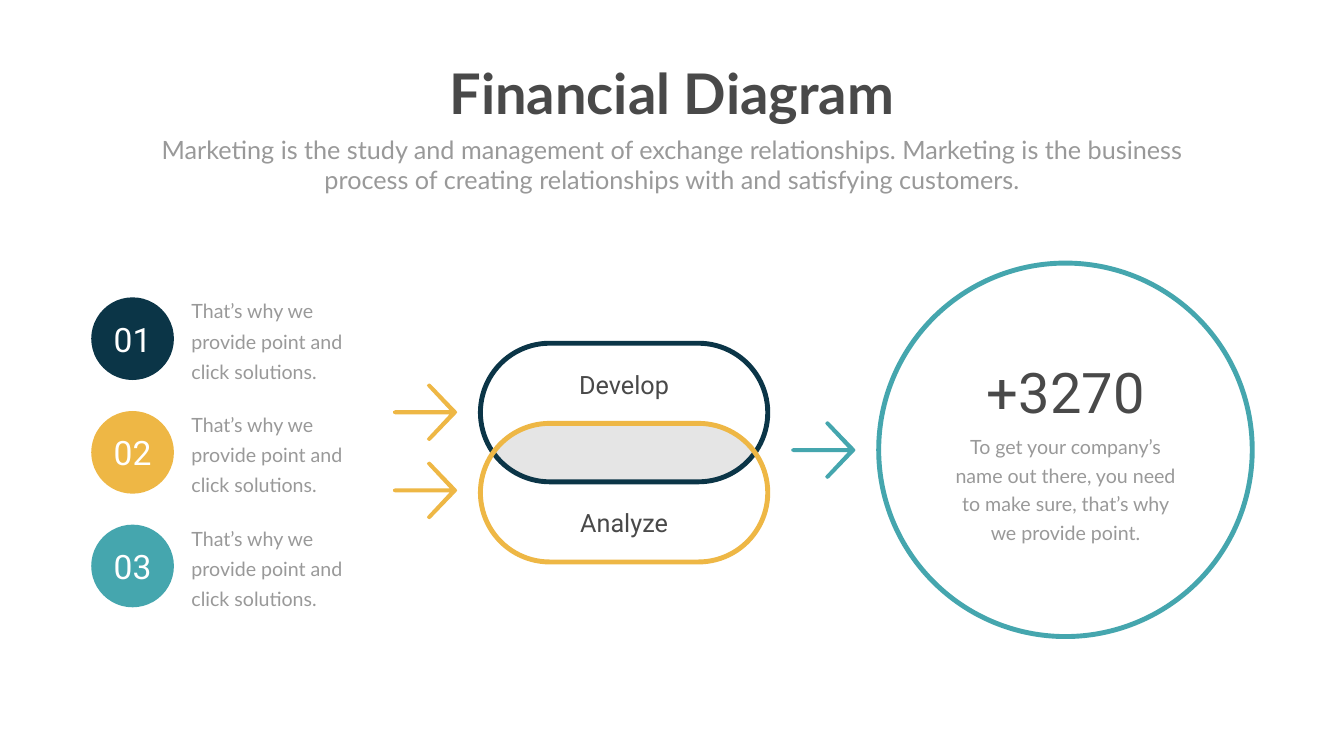
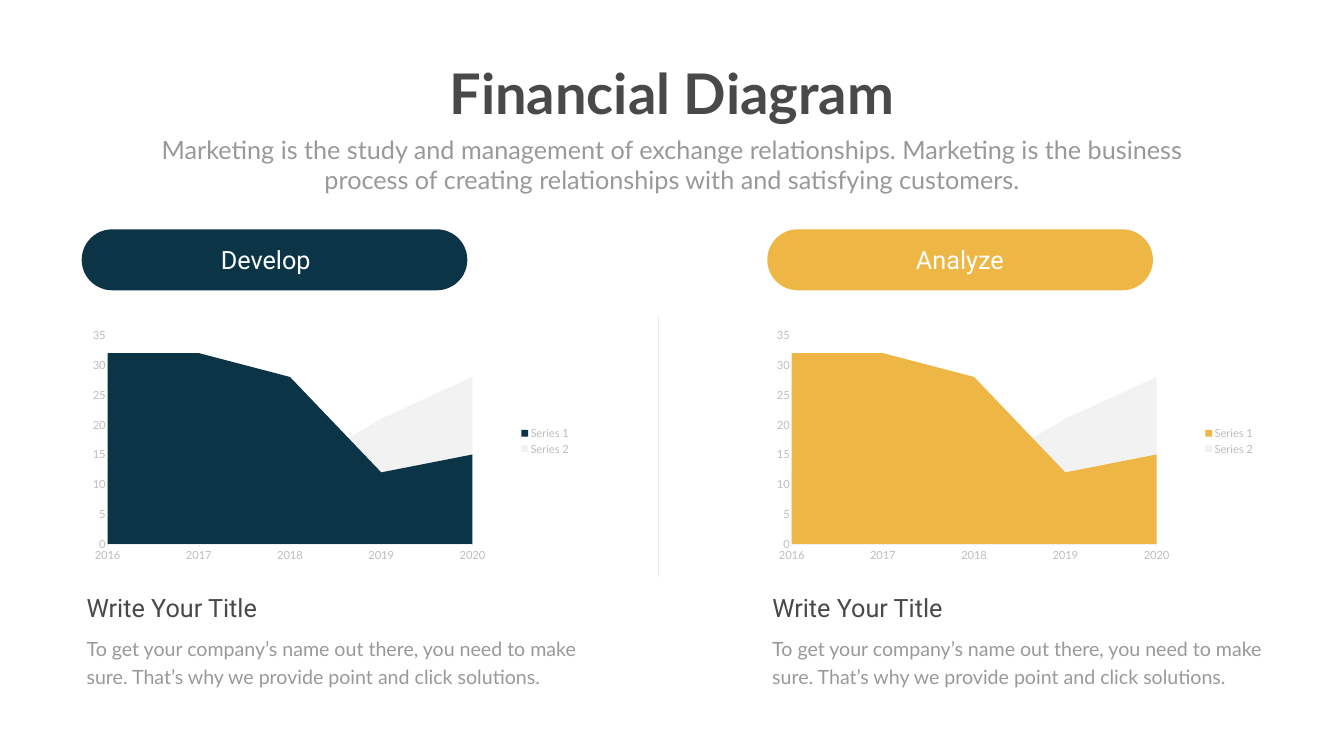
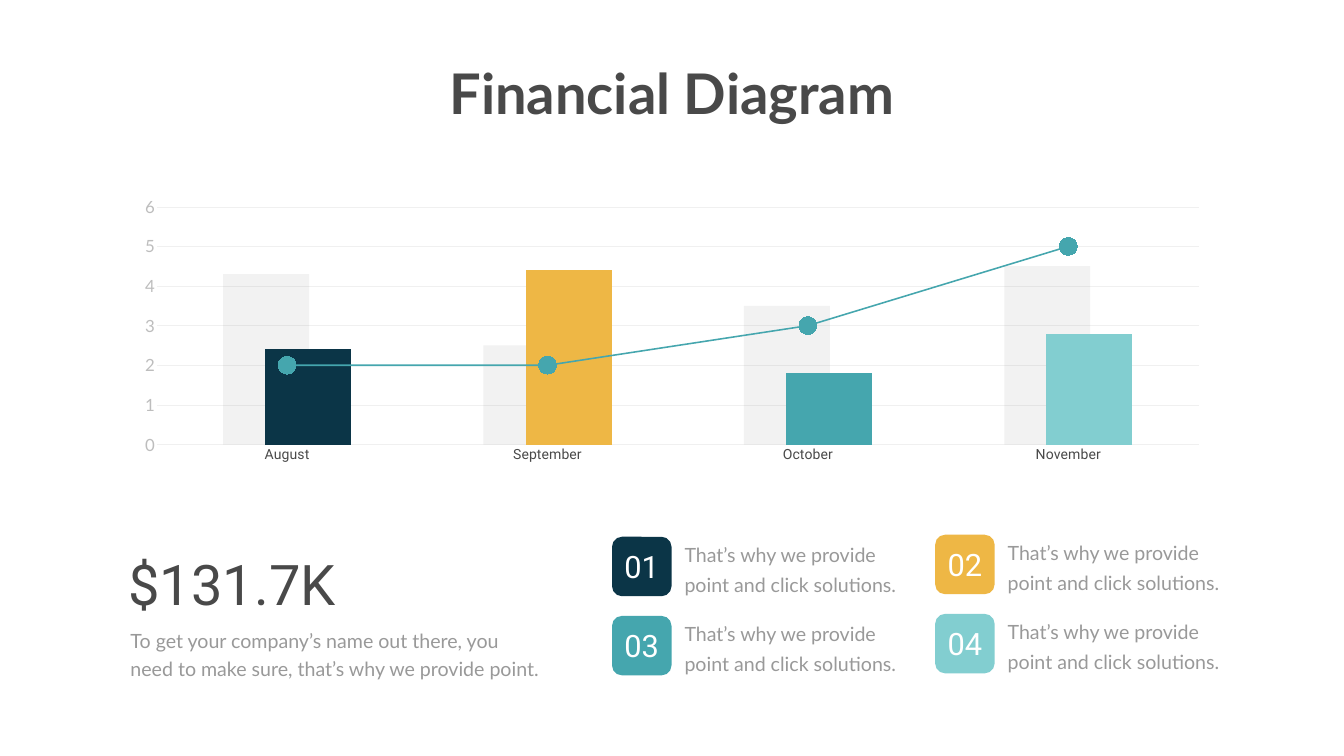
import copy
import math

import lxml.etree
import pptx
import pptx.chart.data
import pptx.dml.color
import pptx.enum.chart
import pptx.enum.shapes
import pptx.enum.text
import pptx.oxml
import pptx.oxml.ns
import pptx.util

COLOURS = {
    "navy": "0B3547", "amber": "EEB745", "teal": "45A6AE", "aqua": "82CED0",
    "ink": "494949", "body": "999999", "axis": "BDBDBD", "rule": "BFBFBF",
    "grid": "F0F0F0", "pale": "F2F2F2", "veil": "808080", "white": "FFFFFF",
}
# The slide is a grid of one-inch columns and rows.
COLUMNS, ROWS = 26.66, 15
CELL = pptx.util.Inches(1)

LATO, ROBOTO = "Lato", "Roboto"
LEFT, CENTRE = pptx.enum.text.PP_ALIGN.LEFT, pptx.enum.text.PP_ALIGN.CENTER
TOP, MIDDLE = pptx.enum.text.MSO_ANCHOR.TOP, pptx.enum.text.MSO_ANCHOR.MIDDLE
OVAL = pptx.enum.shapes.MSO_SHAPE.OVAL
ROUNDED = pptx.enum.shapes.MSO_SHAPE.ROUNDED_RECTANGLE
CHART = pptx.enum.chart.XL_CHART_TYPE
TICK = pptx.enum.chart.XL_TICK_MARK

SUBTITLE = ("Marketing is the study and management of exchange relationships. "
            "Marketing is the business process of creating relationships with "
            "and satisfying customers.")
SOLUTIONS = "That’s why we provide point and click solutions."
COMPANY = "To get your company’s name out there, you need to make sure"


def cells(*values):
    return [round(value * CELL) for value in values]


def rgb(name):
    return pptx.dml.color.RGBColor.from_string(COLOURS[name])


def paint(fill, colour):
    fill.solid()
    fill.fore_color.rgb = rgb(colour)


def stroke(line, colour, width):
    paint(line.fill, colour)
    line.width = pptx.util.Pt(width)


def fade(element, percent):
    """Give the first colour inside the element an opacity."""
    colour = element.xpath(".//a:srgbClr")[0]
    alpha = lxml.etree.SubElement(colour, pptx.oxml.ns.qn("a:alpha"))
    alpha.set("val", str(percent * 1000))


def style_font(font, size, colour, name=LATO, bold=False):
    font.size, font.name, font.bold = pptx.util.Pt(size), name, bold
    font.color.rgb = rgb(colour)


def write(frame, text, size=28, colour="body", font=LATO, bold=False,
          align=LEFT, leading=None, anchor=TOP):
    """Fill a text frame; leading is in points, single spacing if omitted."""
    frame.word_wrap = True
    frame.auto_size = pptx.enum.text.MSO_AUTO_SIZE.NONE
    frame.vertical_anchor = anchor
    para = frame.paragraphs[0]
    para.alignment = align
    para.space_before = pptx.util.Pt(0)
    para.line_spacing = pptx.util.Pt(leading) if leading else 1.0
    span = para.add_run()
    span.text = text
    style_font(span.font, size, colour, font, bold)


def add_text(page, place, text, **style):
    write(page.shapes.add_textbox(*cells(*place)).text_frame, text, **style)


def add_shape(page, kind, place, fill=None, outline=None, corner=None):
    shape = page.shapes.add_shape(kind, *cells(*place))
    shape.shadow.inherit = False
    if corner is not None:
        shape.adjustments[0] = corner
    if fill:
        paint(shape.fill, fill)
    else:
        shape.fill.background()
    if outline:
        stroke(shape.line, outline, 7)
    else:
        shape.line.fill.background()
    return shape


def add_badge(page, kind, place, colour, number, size):
    frame = add_shape(page, kind, place, fill=colour).text_frame
    frame.margin_left = frame.margin_right = 0
    write(frame, number, size=size, colour="white", font=ROBOTO,
          align=CENTRE, anchor=MIDDLE)


def add_outline(page, points, colour):
    """Draw a filled polygon from points in grid cells."""
    points = [cells(*point) for point in points]
    builder = page.shapes.build_freeform(*points[0])
    builder.add_line_segments(points[1:])
    shape = builder.convert_to_shape()
    shape.shadow.inherit = False
    paint(shape.fill, colour)
    shape.line.fill.background()
    return shape


def add_arrow(page, x, y, colour):
    """Draw an open arrow whose tail is at x and whose shaft is at y."""
    upper = [(0, -0.02), (0.04, -0.04), (1.12, -0.04), (0.69, -0.5),
             (0.67, -0.53), (0.69, -0.56), (0.72, -0.57), (0.75, -0.55),
             (1.25, -0.03), (1.27, 0)]
    lower = [(dx, -dy) for dx, dy in reversed(upper[:-1])]
    add_outline(page, [(x + dx, y + dy) for dx, dy in upper + lower], colour)


def add_overlap(page, x, y, width, height, shift):
    """Shade where a pill meets the same pill moved down by shift."""
    radius = height / 2
    middle = y + (height + shift) / 2
    start = math.asin(shift / 2 / radius)
    steps = 12
    angles = [start + (math.pi / 2 - start) * n / steps for n in range(steps + 1)]
    arc = [(radius * (1 - math.cos(a)), radius * math.sin(a) - shift / 2)
           for a in angles]
    top = [(x + dx, middle - dy) for dx, dy in arc]
    top += [(2 * x + width - px, py) for px, py in reversed(top)]
    bottom = [(px, 2 * middle - py) for px, py in reversed(top)]
    fade(add_outline(page, top + bottom[1:-1], "veil").element, 20)


def add_page(deck, subtitle=None):
    page = deck.slides.add_slide(deck.slide_layouts[0 if subtitle else 5])
    heads = [(page.shapes.title, (8.71, 1.12, 9.24, 1.45), "Financial Diagram",
              dict(size=80, colour="ink", bold=True))]
    if subtitle:
        heads.append((page.placeholders[1], (2.92, 2.61, 20.82, 1.31), subtitle,
                      dict(size=36)))
    for box, place, text, style in heads:
        box.left, box.top, box.width, box.height = cells(*place)
        write(box.text_frame, text, align=CENTRE, **style)
    return page


def add_chart(page, kind, place, categories, rows, size, plot_area):
    """Add a chart; plot_area is x, y, w, h as shares of the chart."""
    data = pptx.chart.data.CategoryChartData()
    data.categories = categories
    for number, values in enumerate(rows, 1):
        data.add_series(f"Series {number}", values)
    chart = page.shapes.add_chart(kind, *cells(*place), data).chart
    style_font(chart.font, size, "body")
    chart.has_title = chart.has_legend = False
    chart.plots[0].vary_by_categories = False

    area = chart.element.xpath(".//c:plotArea")[0]
    for old in area.xpath("./c:layout"):
        area.remove(old)
    shares = "".join(f'<c:{key} val="{share}"/>'
                     for key, share in zip("xywh", plot_area))
    area.insert(0, pptx.oxml.parse_xml(
        f'<c:layout {pptx.oxml.ns.nsdecls("c")}><c:manualLayout>'
        '<c:layoutTarget val="inner"/><c:xMode val="edge"/><c:yMode val="edge"/>'
        f'{shares}</c:manualLayout></c:layout>'))
    return chart


def style_axes(chart, top, step, size, label, tick):
    """Scale the value axis; label holds the category font settings."""
    value, category = chart.value_axis, chart.category_axis
    value.minimum_scale, value.maximum_scale, value.major_unit = 0, top, step
    value.major_tick_mark = TICK.NONE
    value.format.line.fill.background()
    value.has_major_gridlines = False
    value.tick_labels.number_format = "0"
    value.tick_labels.number_format_is_linked = False
    style_font(value.tick_labels.font, size, "axis")
    category.major_tick_mark = tick
    category.has_major_gridlines = False
    stroke(category.format.line, "grid", 0.75)
    style_font(category.tick_labels.font, **label)


def add_area_chart(page, x, colour):
    chart = add_chart(page, CHART.AREA, (x, 6.06, 10.34, 5.38),
                      ["2016", "2017", "2018", "2019", "2020"],
                      [(32, 32, 28, 12, 15), (12, 12, 12, 21, 28)],
                      16, (0.1, 0.11, 0.7, 0.77))
    style_axes(chart, 35, 5, 16, dict(size=16, colour="axis"), TICK.OUTSIDE)
    chart.element.xpath(".//c:valAx/c:crossBetween")[0].set("val", "midCat")
    for series, fill in zip(chart.plots[0].series, (colour, "pale")):
        paint(series.format.fill, fill)
    chart.has_legend = True
    chart.legend.position = pptx.enum.chart.XL_LEGEND_POSITION.RIGHT
    chart.legend.include_in_layout = False
    style_font(chart.legend.font, 16, "axis")


def move_last_series_to_line(chart):
    bars = chart.element.xpath(".//c:barChart")[0]
    series = bars.xpath("./c:ser")[-1]
    for flag in series.xpath("./c:invertIfNegative"):
        series.remove(flag)
    lines = pptx.oxml.parse_xml(
        f'<c:lineChart {pptx.oxml.ns.nsdecls("c")}><c:grouping val="standard"/>'
        '<c:varyColors val="0"/><c:marker val="1"/></c:lineChart>')
    lines.insert(2, series)
    for axis in bars.xpath("./c:axId"):
        lines.append(copy.deepcopy(axis))
    bars.addnext(lines)


def add_month_chart(page):
    chart = add_chart(page, CHART.COLUMN_CLUSTERED, (2.46, 3.77, 21.75, 5.55),
                      ["August", "September", "October", "November"],
                      [(4.3, 2.5, 3.5, 4.5), (2.4, 4.4, 1.8, 2.8), (2, 2, 3, 5)],
                      20, (0.03, 0.06, 0.95, 0.85))
    style_axes(chart, 6, 1, 24, dict(size=20, colour="ink", name=ROBOTO),
               TICK.NONE)
    chart.value_axis.has_major_gridlines = True
    stroke(chart.value_axis.major_gridlines.format.line, "grid", 0.75)
    move_last_series_to_line(chart)

    bars, lines = chart.plots
    bars.gap_width, bars.overlap = 154, 51
    backdrop, months = bars.series
    paint(backdrop.format.fill, "veil")
    fade(chart.element.xpath(".//c:barChart/c:ser")[0], 10)
    paint(months.format.fill, "ink")
    for number, colour in enumerate(("navy", "amber", "teal", "aqua")):
        paint(months.points[number].format.fill, colour)

    trend = lines.series[0]
    trend.smooth = False
    stroke(trend.format.line, "teal", 2.25)
    trend.marker.style = pptx.enum.chart.XL_MARKER_STYLE.CIRCLE
    trend.marker.size = 25
    paint(trend.marker.format.fill, "teal")
    trend.marker.format.line.fill.background()


def add_divider(page, x, top, bottom):
    line = page.shapes.add_connector(pptx.enum.shapes.MSO_CONNECTOR.STRAIGHT,
                                     *cells(x, top, x, bottom))
    stroke(line.line, "rule", 1)
    fade(line.element, 50)
    properties = line.element.xpath("./p:spPr")[0]
    lxml.etree.SubElement(properties, pptx.oxml.ns.qn("a:effectLst"))


def build_flow(deck):
    page = add_page(deck, SUBTITLE)
    x, y, width, height, shift = 9.53, 6.81, 5.7, 2.75, 1.59
    add_overlap(page, x, y, width, height, shift)
    for number, colour in enumerate(("navy", "amber")):
        add_shape(page, ROUNDED, (x, y + number * shift, width, height),
                  outline=colour, corner=0.5)
        add_arrow(page, 7.8, 8.18 + number * 1.55, "amber")
    for text, top in (("Develop", 7.28), ("Analyze", 10.01)):
        add_text(page, (10.5, top, 3.76, 0.71), text, size=36, colour="ink",
                 font=ROBOTO, align=CENTRE)

    for number, colour in enumerate(("navy", "amber", "teal")):
        top = 5.9 + number * 2.255
        add_badge(page, OVAL, (1.81, top, 1.64, 1.64), colour,
                  f"{number + 1:02}", 48)
        add_text(page, (3.7, top - 0.14, 3.63, 1.84), SOLUTIONS, leading=43)

    add_arrow(page, 15.7, 8.93, "teal")
    add_shape(page, OVAL, (17.43, 5.22, 7.41, 7.41), outline="teal")
    add_text(page, (18.32, 7.04, 5.64, 1.45), "+3270", size=80, colour="ink",
             font=ROBOTO, align=CENTRE)
    add_text(page, (18.81, 8.48, 4.65, 2.34),
             COMPANY + ", that’s why we provide point.",
             align=CENTRE, leading=40.8)


def build_comparison(deck):
    page = add_page(deck, SUBTITLE)
    add_divider(page, 13.06, 6.28, 11.44)
    for x, chart_x, label_x, colour, label in (
            (1.62, 1.1, 3.08, "navy", "Develop"),
            (15.22, 14.67, 16.85, "amber", "Analyze")):
        add_area_chart(page, chart_x, colour)
        add_shape(page, ROUNDED, (x, 4.55, 7.65, 1.21), fill=colour, corner=0.5)
        add_text(page, (label_x, 4.8, 4.38, 0.71), label, size=36,
                 colour="white", font=ROBOTO, align=CENTRE)
        add_text(page, (x, 11.7, 5.72, 0.71), "Write Your Title", size=36,
                 colour="ink", font=ROBOTO)
        add_text(page, (x, 12.48, 10.34, 1.19), f"{COMPANY}. {SOLUTIONS}",
                 leading=40.8)


def build_months(deck):
    page = add_page(deck)
    add_month_chart(page)
    for number, colour in enumerate(("navy", "amber", "teal", "aqua")):
        row, column = divmod(number, 2)
        x = 12.14 + column * 6.41
        y = 10.65 + row * 1.57 - column * 0.04
        add_badge(page, ROUNDED, (x, y, 1.18, 1.18), colour,
                  f"{number + 1:02}", 44)
        add_text(page, (x + 1.34, y - 0.06, 4.45, 1.24), SOLUTIONS, leading=43)
    add_text(page, (2.45, 10.86, 5.11, 1.45), "$131.7K", size=80, colour="ink",
             font=ROBOTO)
    add_text(page, (2.49, 12.32, 8.43, 1.19),
             COMPANY + ", that’s why we provide point.", leading=40.8)


def main():
    deck = pptx.Presentation()
    deck.slide_width, deck.slide_height = cells(COLUMNS, ROWS)
    build_flow(deck)
    build_comparison(deck)
    build_months(deck)
    deck.save("out.pptx")


if __name__ == "__main__":
    main()
